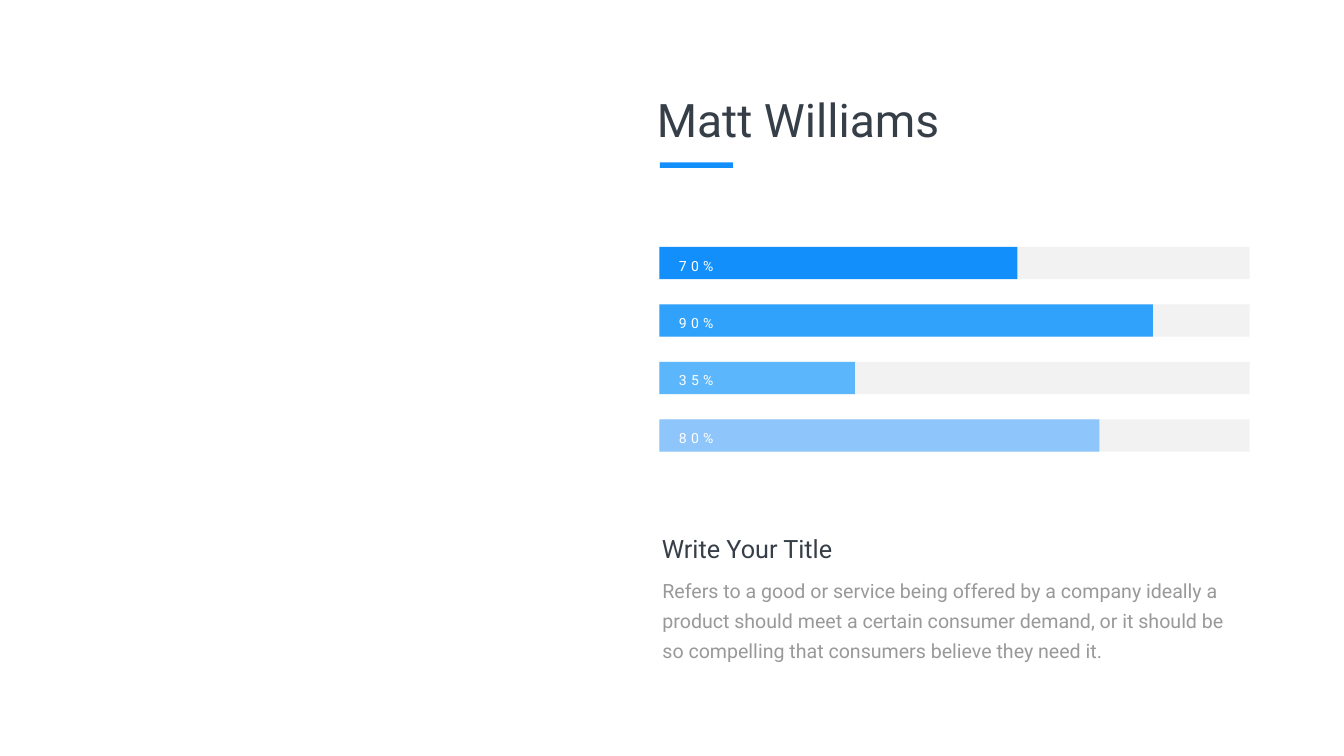
from dataclasses import dataclass

from pptx import Presentation
from pptx.dml.color import RGBColor
from pptx.enum.shapes import MSO_SHAPE
from pptx.enum.text import MSO_AUTO_SIZE
from pptx.slide import Slide
from pptx.util import Inches, Pt


@dataclass(frozen=True)
class Theme:
    font: str = "Roboto"
    dark: str = "363E48"
    grey: str = "999999"
    white: str = "FFFFFF"
    track: str = "F2F2F2"
    accent: str = "138FFB"
    name_size: int = 66
    heading_size: int = 36
    body_size: int = 28
    label_size: int = 20


@dataclass(frozen=True)
class Box:
    left: float
    top: float
    width: float
    height: float


@dataclass(frozen=True)
class SkillBar:
    label: str
    width: float
    color: str


THEME = Theme()
BAR_LEFT, BAR_TOP, BAR_PITCH = 13.08, 4.9, 1.14
TRACK_WIDTH, BAR_HEIGHT = 11.71, 0.64
SKILL_BARS = [
    SkillBar("70%", 7.1, THEME.accent),
    SkillBar("90%", 9.79, "30A2FB"),
    SkillBar("35%", 3.88, "5BB6FB"),
    SkillBar("80%", 8.73, "8EC5FA"),
]


def add_rectangle(slide: Slide, box: Box, color: str) -> None:
    shape = slide.shapes.add_shape(
        MSO_SHAPE.RECTANGLE,
        Inches(box.left), Inches(box.top), Inches(box.width), Inches(box.height),
    )
    shape.shadow.inherit = False
    shape.fill.solid()
    shape.fill.fore_color.rgb = RGBColor.from_string(color)
    shape.line.fill.background()


def add_text(
    slide: Slide, box: Box, text: str, size: int, color: str,
    wrap: bool = True, margins: tuple[float, float] = (0.1, 0.05),
    line_spacing: int | None = None, letter_spacing: int | None = None,
) -> None:
    shape = slide.shapes.add_textbox(
        Inches(box.left), Inches(box.top), Inches(box.width), Inches(box.height)
    )
    frame = shape.text_frame
    frame.word_wrap = wrap
    frame.auto_size = MSO_AUTO_SIZE.SHAPE_TO_FIT_TEXT
    frame.margin_left = frame.margin_right = Inches(margins[0])
    frame.margin_top = frame.margin_bottom = Inches(margins[1])
    paragraph = frame.paragraphs[0]
    if line_spacing is not None:
        paragraph.line_spacing = Pt(line_spacing)
    run = paragraph.add_run()
    run.text = text
    run.font.name = THEME.font
    run.font.size = Pt(size)
    run.font.color.rgb = RGBColor.from_string(color)
    if letter_spacing is not None:
        run.font._element.set("spc", str(letter_spacing * 100))


def add_skill_bar(slide: Slide, bar: SkillBar, top: float) -> None:
    add_rectangle(slide, Box(BAR_LEFT, top, TRACK_WIDTH, BAR_HEIGHT), THEME.track)
    add_rectangle(slide, Box(BAR_LEFT, top, bar.width, BAR_HEIGHT), bar.color)
    add_text(
        slide, Box(BAR_LEFT + 0.29, top + 0.15, 0.98, 0.38), bar.label,
        THEME.label_size, THEME.white, wrap=False, letter_spacing=6,
    )


def main() -> None:
    presentation = Presentation()
    presentation.slide_width = Inches(26.66)
    presentation.slide_height = Inches(15)
    slide = presentation.slides.add_slide(presentation.slide_layouts[6])

    add_text(slide, Box(12.93, 1.77, 6.49, 1.21), "Matt Williams", THEME.name_size, THEME.dark)
    add_rectangle(slide, Box(13.09, 3.22, 1.45, 0.11), THEME.accent)

    for index, bar in enumerate(SKILL_BARS):
        add_skill_bar(slide, bar, BAR_TOP + index * BAR_PITCH)

    add_text(
        slide, Box(13.03, 10.53, 5.41, 0.71), "Write Your Title",
        THEME.heading_size, THEME.dark,
    )
    add_text(
        slide, Box(12.9, 11.24, 11.84, 2),
        "Refers to a good or service being offered by a company ideally a product "
        "should meet a certain consumer demand, or it should be so compelling that "
        "consumers believe they need it.",
        THEME.body_size, THEME.grey, margins=(0.24, 0.12), line_spacing=43,
    )
    presentation.save("out.pptx")


if __name__ == "__main__":
    main()
